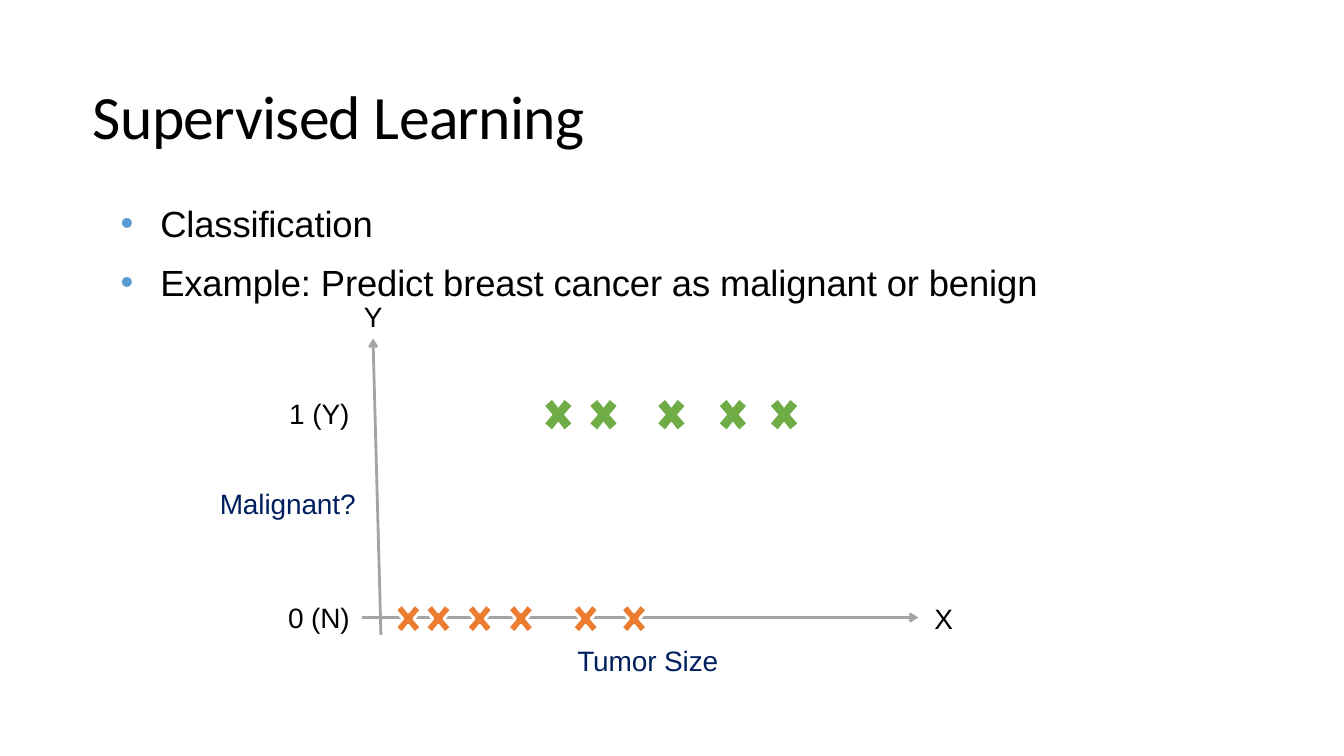
from dataclasses import dataclass

import pptx
import pptx.dml.color
import pptx.enum.shapes
import pptx.enum.text
import pptx.oxml
import pptx.oxml.ns
import pptx.util
from pptx.util import Cm


@dataclass(frozen=True)
class Theme:
    title_font: str = "Calibri"
    body_font: str = "Arial"
    ink: str = "000000"
    navy: str = "001F5F"
    bullet: str = "5B9BD4"
    axis: str = "A4A4A4"
    benign: str = "EC7C30"
    malignant: str = "6FAC46"
    white: str = "FFFFFF"
    title_size: float = 44
    bullet_size: float = 26
    label_size: float = 20


CROSS = [(0, .15), (.17, 0), (.33, .2), (.49, 0), (.66, .15), (.47, .37),
         (.66, .59), (.49, .74), (.33, .54), (.17, .74), (0, .59), (.19, .37)]


def rgb(value):
    return pptx.dml.color.RGBColor.from_string(value)


def apply_formats(target, formats):
    for key, value in formats.items():
        setattr(target, key, value)


def drawing_element(tag, **attributes):
    element = pptx.oxml.parse_xml(f"<a:{tag} {pptx.oxml.ns.nsdecls('a')}/>")
    for key, value in attributes.items():
        element.set(key, value)
    return element


class SlideBuilder:
    def __init__(self, slide, theme):
        self.shapes = slide.shapes
        self.theme = theme

    def frame(self, left, top, width, height, anchor=pptx.enum.text.MSO_ANCHOR.TOP):
        frame = self.shapes.add_textbox(Cm(left), Cm(top), Cm(width), Cm(height)).text_frame
        apply_formats(frame, {
            "word_wrap": True,
            "margin_left": 0, "margin_top": 0, "margin_right": 0, "margin_bottom": 0,
            "vertical_anchor": anchor,
        })
        return frame

    def add_text(self, paragraph, text, font, size, color, spacing):
        run = paragraph.add_run()
        run.text = text
        apply_formats(run.font, {"name": font, "size": pptx.util.Pt(size)})
        run.font.color.rgb = rgb(color)
        run._r.get_or_add_rPr().set("spc", str(spacing))

    def title(self, text, left, top, width, height):
        frame = self.frame(left, top, width, height, pptx.enum.text.MSO_ANCHOR.MIDDLE)
        self.add_text(frame.paragraphs[0], text, self.theme.title_font,
                      self.theme.title_size, self.theme.ink, -50)

    def label(self, text, left, top, color):
        frame = self.frame(left, top, 4, .9)
        self.add_text(frame.paragraphs[0], text, self.theme.body_font,
                      self.theme.label_size, color, -10)

    def bullets(self, items, left, top, width, height):
        frame = self.frame(left, top, width, height)
        for index, item in enumerate(items):
            paragraph = frame.add_paragraph() if index else frame.paragraphs[0]
            properties = paragraph._p.get_or_add_pPr()
            properties.set("marL", str(Cm(1.02)))
            properties.set("indent", str(Cm(-1)))
            color = drawing_element("buClr")
            color.append(drawing_element("srgbClr", val=self.theme.bullet))
            properties.append(color)
            properties.append(drawing_element("buFont", typeface=self.theme.body_font))
            properties.append(drawing_element("buChar", char="•"))
            if index:
                apply_formats(paragraph, {"space_before": pptx.util.Pt(11.8),
                                          "line_spacing": pptx.util.Pt(29.9)})
            self.add_text(paragraph, item, self.theme.body_font,
                          self.theme.bullet_size, self.theme.ink, -10)

    def axis(self, start, end):
        axis = self.shapes.add_connector(
            pptx.enum.shapes.MSO_CONNECTOR.STRAIGHT, *map(Cm, start + end))
        axis.line.color.rgb = rgb(self.theme.axis)
        axis.line.width = pptx.util.Pt(2)
        axis.line._get_or_add_ln().append(
            drawing_element("tailEnd", type="arrow", w="med", len="med"))
        axis._element.spPr.append(drawing_element("effectLst"))

    def cross(self, left, top, color, outline=None):
        points = [(Cm(left + x), Cm(top + y)) for x, y in CROSS]
        builder = self.shapes.build_freeform(*points[0])
        builder.add_line_segments(points[1:], close=True)
        mark = builder.convert_to_shape()
        mark.shadow.inherit = False
        mark.fill.solid()
        mark.fill.fore_color.rgb = rgb(color)
        if outline:
            mark.line.color.rgb = rgb(outline)
            mark.line.width = pptx.util.Pt(2)
        else:
            mark.line.fill.background()


def main():
    presentation = pptx.Presentation()
    apply_formats(presentation, {"slide_width": Cm(33.87), "slide_height": Cm(19.05)})
    theme = Theme()
    builder = SlideBuilder(presentation.slides.add_slide(presentation.slide_layouts[6]), theme)

    builder.title("Supervised Learning", 2.34, 1.06, 29.21, 3.68)
    builder.bullets(["Classification",
                     "Example: Predict breast cancer as malignant or benign"],
                    3.02, 5.08, 25, 2.6)

    builder.axis((9.12, 15.56), (23.14, 15.56))
    builder.axis((9.6, 16), (9.4, 8.53))

    for text, left, top, color in [
        ("Y", 9.17, 7.54, theme.ink),
        ("1 (Y)", 7.29, 9.98, theme.ink),
        ("Malignant?", 5.54, 12.27, theme.navy),
        ("0 (N)", 7.26, 15.14, theme.ink),
        ("X", 23.55, 15.16, theme.ink),
        ("Tumor Size", 14.55, 16.21, theme.navy),
    ]:
        builder.label(text, left, top, color)

    for tumor_size in (9.96, 10.72, 11.76, 12.8, 14.43, 15.65):
        builder.cross(tumor_size, 15.22, theme.benign, theme.white)
    for tumor_size in (13.74, 14.88, 16.59, 18.14, 19.43):
        builder.cross(tumor_size, 10.08, theme.malignant)

    presentation.save("out.pptx")


if __name__ == "__main__":
    main()
